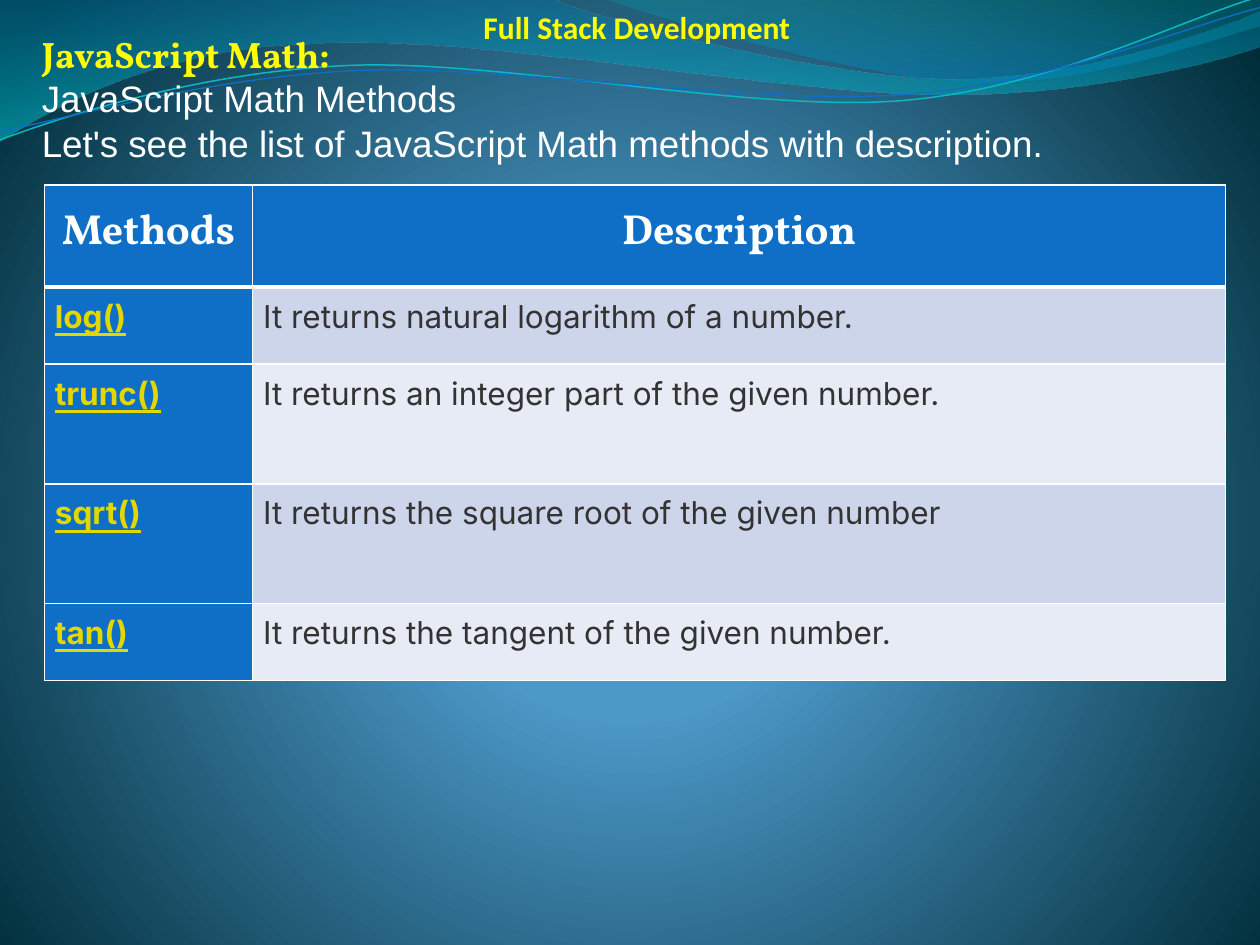
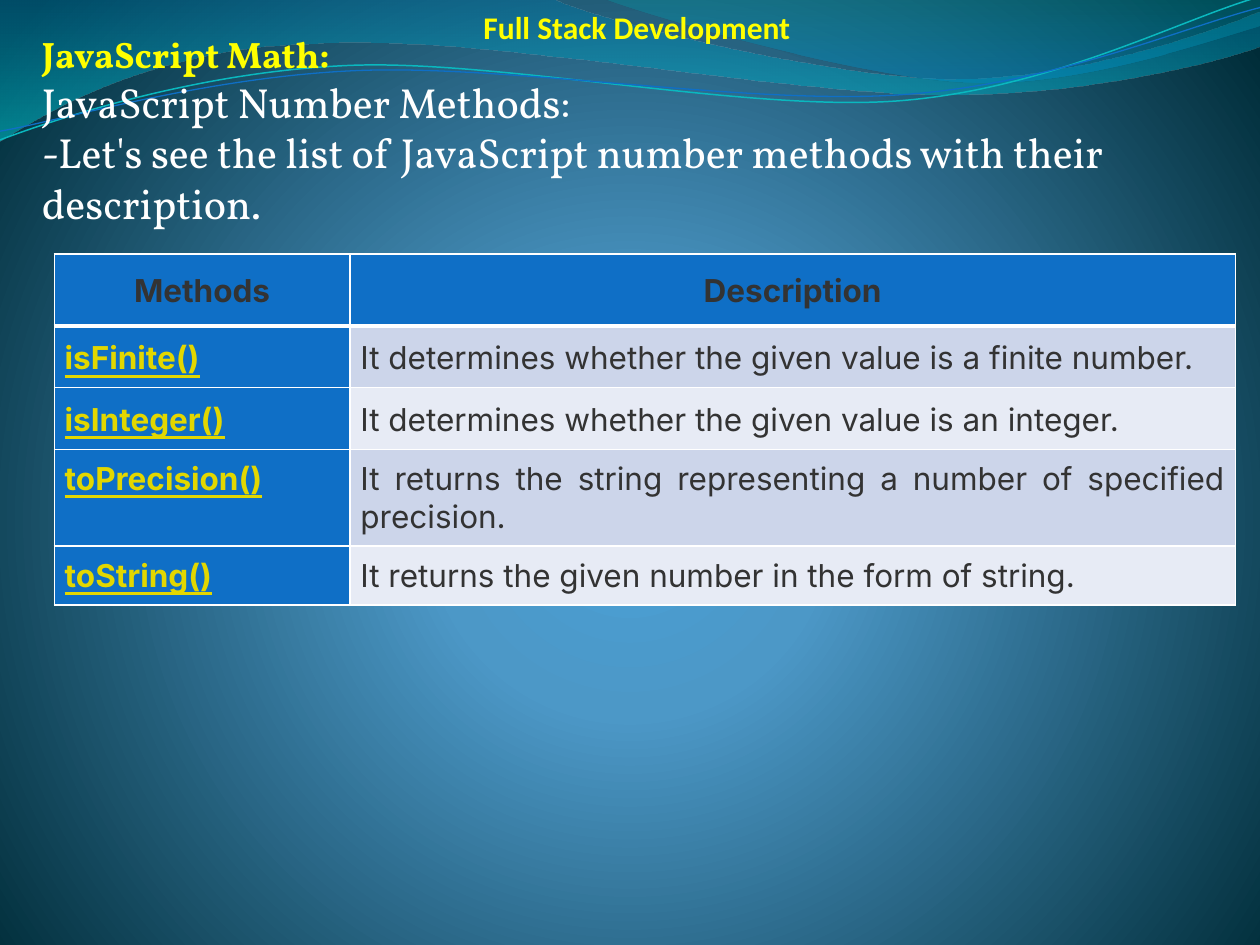
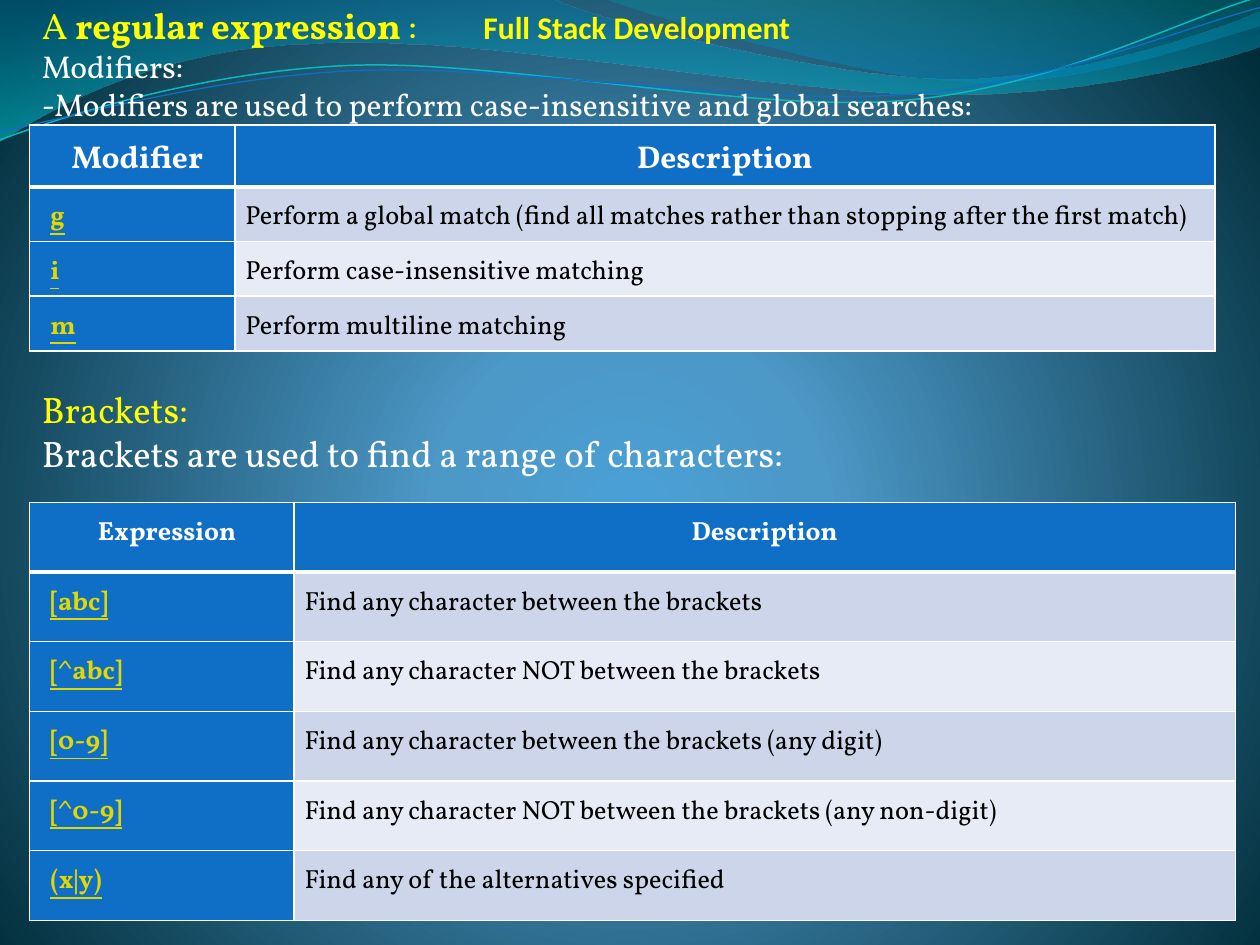
from dataclasses import dataclass

from lxml import etree
from pptx import Presentation
from pptx.dml.color import RGBColor
from pptx.enum import text
from pptx.oxml import ns
from pptx.util import Pt

COLORS = {
    "yellow": "FFFF00", "white": "FFFFFF", "black": "000000", "charcoal": "333333",
    "link": "E2D700", "blue": "0F6FC6", "band_dark": "CCD5EA", "band_light": "E7EBF5",
    "glow": "4AA0D6", "sky": "4C98C7", "deep": "002C38", "wave_blue": "0074A1",
    "wave_cyan": "00C6CF", "crest_teal": "00A1A9", "crest_blue": "008BBF", "ripple": "0AB8BF",
}
LEFT, CENTER, JUSTIFY = (text.PP_ALIGN.LEFT, text.PP_ALIGN.CENTER, text.PP_ALIGN.JUSTIFY)
SERIF, SANS = "Vollkorn", "Inter"
TEXT_LEFT, TEXT_WIDTH = 16.8, 689
CELL_MARGIN = 6
STRAND_TILT = 357.3

# Each outline is a start point, then lines (one point) or curves (three points).
WAVE = [(0, 0), [(317, -0.5)], [(343, 12), (478, 45), (546, 45)],
        [(614, 45), (690, 19), (720, 6.5)], [(721, 26)],
        [(708, 32), (626, 55), (537, 54)], [(449, 54), (275, 20), (185, 24.5)],
        [(93, 26), (33, 60), (-0.7, 81)], [(0, 0)]]
CREST = [(345, -0.5), [(366, 8), (491, 45), (554, 47)],
         [(616, 50), (692, 23), (720, 15)], [(720, 0)], [(345, -0.5)]]
RIPPLE = [(-1.4, 63), [(33.8, 51.7), (114.1, 29.4), (199.8, 29.9)],
          [(284.8, 30.3), (425.9, 67.3), (512.5, 64.9)],
          [(599.1, 62.4), (676.5, 25.7), (720.2, 15.5)]]
UNDERTOW = [(-1.1, 58), [(32.9, 53.8), (118.3, 32.5), (204.1, 33)],
            [(290.5, 33.4), (428.9, 63.8), (515.5, 61.4)],
            [(601.4, 59.6), (678.4, 30.1), (721.4, 21.3)]]


@dataclass
class TableLook:
    header_font: str
    header_size: float
    header_color: str
    header_margin: float
    body_font: str
    body_size: float
    body_color: str
    body_align: int
    name_indent: float = CELL_MARGIN


def rgb(name):
    return RGBColor.from_string(COLORS[name])


def add_run(paragraph, words, font, size, color, bold=False, underline=False):
    run = paragraph.add_run()
    run.text = words
    run.font.name, run.font.size = font, Pt(size)
    run.font.bold, run.font.underline = bold, underline
    run.font.color.rgb = rgb(color)


def set_gradient(fill, element, stops, circle=False):
    """Fill with (position, colour, opacity) stops, downwards or from the centre."""
    fill.gradient()
    gradient = element.find(".//" + ns.qn("a:gradFill"))
    for child in list(gradient):
        gradient.remove(child)
    stop_list = etree.SubElement(gradient, ns.qn("a:gsLst"))
    for position, color, opacity in stops:
        stop = etree.SubElement(stop_list, ns.qn("a:gs"), pos=str(position * 1000))
        tint = etree.SubElement(stop, ns.qn("a:srgbClr"), val=COLORS[color])
        if opacity < 100:
            etree.SubElement(tint, ns.qn("a:alpha"), val=str(opacity * 1000))
    if circle:
        center = etree.SubElement(gradient, ns.qn("a:path"), path="circle")
        etree.SubElement(center, ns.qn("a:fillToRect"),
                         l="10000", t="110000", r="10000", b="100000")
    else:
        etree.SubElement(gradient, ns.qn("a:lin"), ang="5400000", scaled="1")


def draw_outline(slide, outline, close):
    """Draw an outline, joining each three-point segment into one Bézier curve."""
    start, *segments = outline
    points = [(Pt(x), Pt(y)) for segment in segments for x, y in segment]
    builder = slide.shapes.build_freeform(Pt(start[0]), Pt(start[1]), scale=1.0)
    builder.add_line_segments(points, close=close)
    curve = builder.convert_to_shape()
    curve.shadow.inherit = False
    steps = iter(curve.element.findall(".//" + ns.qn("a:lnTo")))
    for segment in segments:
        first, *others = [next(steps) for _ in segment]
        if others:
            first.tag = ns.qn("a:cubicBezTo")
            for step in others:
                first.append(step[0])
                step.getparent().remove(step)
    return curve


def style_master(master, slide):
    """Give the master its background and waves, which are drawn by way of a slide."""
    set_gradient(master.background.fill, master.element,
                 [(0, "glow", 100), (25, "sky", 100), (100, "deep", 100)], circle=True)
    curves = []
    for outline, stops in (
            (WAVE, [(0, "wave_blue", 45), (100, "wave_cyan", 55)]),
            (CREST, [(0, "crest_teal", 30), (80, "crest_blue", 45)])):
        area = draw_outline(slide, outline, close=True)
        set_gradient(area.fill, area.element, stops)
        area.line.fill.background()
        curves.append(area)
    for outline, color, width in ((RIPPLE, "ripple", 0.85), (UNDERTOW, "blue", 0.75)):
        strand = draw_outline(slide, outline, close=False)
        strand.rotation = STRAND_TILT
        strand.fill.background()
        strand.line.color.rgb = rgb(color)
        strand.line.width = Pt(width)
        curves.append(strand)
    tree = master.element.cSld.spTree
    for depth, curve in enumerate(curves, start=2):
        tree.insert(depth, curve.element)


def add_course_title(slide):
    title = slide.shapes.title
    title.left, title.top, title.width, title.height = Pt(139), Pt(0.7), Pt(450), Pt(29)
    frame = title.text_frame
    frame.auto_size = text.MSO_AUTO_SIZE.NONE
    frame.vertical_anchor = text.MSO_ANCHOR.TOP
    frame.paragraphs[0].alignment = CENTER
    add_run(frame.paragraphs[0], "Full Stack Development", "Calibri", 18, "yellow", True)


def add_intro(slide, top, height, lines):
    """Write lines, each a list of runs, in the text column of the slide."""
    frame = slide.shapes.add_textbox(
        Pt(TEXT_LEFT), Pt(top), Pt(TEXT_WIDTH), Pt(height)).text_frame
    frame.word_wrap = True
    for index, runs in enumerate(lines):
        paragraph = frame.add_paragraph() if index else frame.paragraphs[0]
        for run in runs:
            add_run(paragraph, *run)
    return frame.paragraphs


def set_borders(cell, top, bottom):
    properties = cell._tc.get_or_add_tcPr()
    for index, (side, width) in enumerate(
            (("lnL", 1), ("lnR", 1), ("lnT", top), ("lnB", bottom))):
        line = etree.Element(ns.qn(f"a:{side}"), w=str(Pt(width)))
        solid = etree.SubElement(line, ns.qn("a:solidFill"))
        etree.SubElement(solid, ns.qn("a:srgbClr"), val=COLORS["white"])
        properties.insert(index, line)


def fill_cell(cell, fill, margin, indent, align, spacing, run):
    cell.fill.solid()
    cell.fill.fore_color.rgb = rgb(fill)
    cell.margin_top = cell.margin_right = cell.margin_bottom = Pt(margin)
    cell.margin_left = Pt(indent)
    paragraph = cell.text_frame.paragraphs[0]
    paragraph.alignment, paragraph.line_spacing = align, spacing
    add_run(paragraph, *run)


def add_reference_table(slide, left, top, widths, look, rows):
    """Rows are (height, line spacing, name, description), the header first."""
    height = sum(row[0] for row in rows)
    table = slide.shapes.add_table(len(rows), 2, Pt(left), Pt(top),
                                   Pt(sum(widths)), Pt(height)).table
    for column, width in zip(table.columns, widths):
        column.width = Pt(width)
    for index, (row_height, spacing, *words) in enumerate(rows):
        table.rows[index].height = Pt(row_height)
        band = "band_dark" if index % 2 else "band_light"
        for column, entry in enumerate(words):
            cell = table.cell(index, column)
            margin = CELL_MARGIN if index else look.header_margin
            indent = margin if column else max(margin, look.name_indent)
            if index == 0:
                run = (entry, look.header_font, look.header_size, look.header_color, True)
            elif column == 0:
                run = (entry, look.body_font, look.body_size, "link", True, True)
            else:
                run = (entry, look.body_font, look.body_size, look.body_color)
            fill_cell(cell, band if index and column else "blue", margin, indent,
                      look.body_align if index else CENTER, spacing, run)
            set_borders(cell, 3 if index == 1 else 1, 1 if index else 3)


def math_methods(slide):
    add_intro(slide, 14.8, 290, [
        [("JavaScript Math:", SERIF, 21, "yellow", True)],
        [("JavaScript Math Methods", "Arial", 21, "white")],
        [("Let's see the list of JavaScript Math methods with description.",
          "Arial", 21, "white")],
    ])
    look = TableLook(SERIF, 24, "white", 9, SANS, 18, "charcoal", JUSTIFY)
    add_reference_table(slide, 25.4, 105.6, (119, 556), look, [
        (58.5, 1.07, "Methods", "Description"),
        (44, 1.0, "log()", "It returns natural logarithm of a number."),
        (68.4, 1.0, "trunc()", "It returns an integer part of the given number."),
        (68.4, 1.0, "sqrt()", "It returns the square root of the given number"),
        (44, 1.0, "tan()", "It returns the tangent of the given number."),
    ])


def number_methods(slide):
    add_intro(slide, 14.8, 356, [
        [("JavaScript Math:", SERIF, 21, "yellow", True)],
        [("JavaScript Number Methods:", SERIF, 24, "white")],
        [("-Let's see the list of JavaScript number methods with their description.",
          SERIF, 24, "white")],
    ])
    look = TableLook(SANS, 18, "charcoal", 9, SANS, 18, "charcoal", JUSTIFY)
    add_reference_table(slide, 31, 145.2, (169, 506), look, [
        (41.2, 1.07, "Methods", "Description"),
        (35.2, 1.07, "isFinite()",
         "It determines whether the given value is a finite number."),
        (35.2, 1.07, "isInteger()", "It determines whether the given value is an integer."),
        (55.4, 1.0, "toPrecision()",
         "It returns the string representing a number of specified precision."),
        (33.5, 1.0, "toString()", "It returns the given number in the form of string."),
    ])


def regular_expressions(slide):
    paragraphs = add_intro(slide, -2, 443.5, [
        [("A ", SERIF, 21, "yellow"), ("regular expression ", SERIF, 21, "yellow", True),
         (":", SERIF, 21, "yellow")],
        [("Modifiers:", SERIF, 18, "white")],
        [("-Modifiers are used to perform case-insensitive and global searches:",
          SERIF, 18, "white")],
        [("Brackets:", SERIF, 21, "yellow")],
        [("Brackets are used to find a range of characters:", SERIF, 21, "white")],
    ])
    paragraphs[3].space_before = Pt(151.2)
    modifiers = TableLook(SERIF, 18, "white", CELL_MARGIN, SERIF, 15, "black", LEFT, 12)
    add_reference_table(slide, TEXT_LEFT, 71.4, (117.4, 560.2), modifiers, [
        (35.4, 1.07, "Modifier", "Description"),
        (31.2, 1.07, "g", "Perform a global match (find all matches rather than stopping "
                          "after the first match)"),
        (31.2, 1.07, "i", "Perform case-insensitive matching"),
        (31.4, 1.07, "m", "Perform multiline matching"),
    ])
    brackets = TableLook(SERIF, 15, "white", CELL_MARGIN, SERIF, 15, "black", LEFT, 12)
    expressions = [
        ("Expression", "Description"),
        ("[abc]", "Find any character between the brackets"),
        ("[^abc]", "Find any character NOT between the brackets"),
        ("[0-9]", "Find any character between the brackets (any digit)"),
        ("[^0-9]", "Find any character NOT between the brackets (any non-digit)"),
        ("(x|y)", "Find any of the alternatives specified"),
    ]
    add_reference_table(slide, TEXT_LEFT, 287.1, (151.3, 537.8), brackets,
                        [(39.8, 1.07, *pair) for pair in expressions])


def main():
    prs = Presentation()
    prs.slide_width, prs.slide_height = Pt(720), Pt(540)
    title_only = prs.slide_layouts[5]
    for index, fill_slide in enumerate((math_methods, number_methods, regular_expressions)):
        slide = prs.slides.add_slide(title_only)
        if index == 0:
            style_master(prs.slide_master, slide)
        add_course_title(slide)
        fill_slide(slide)
    prs.save("out.pptx")


if __name__ == "__main__":
    main()
